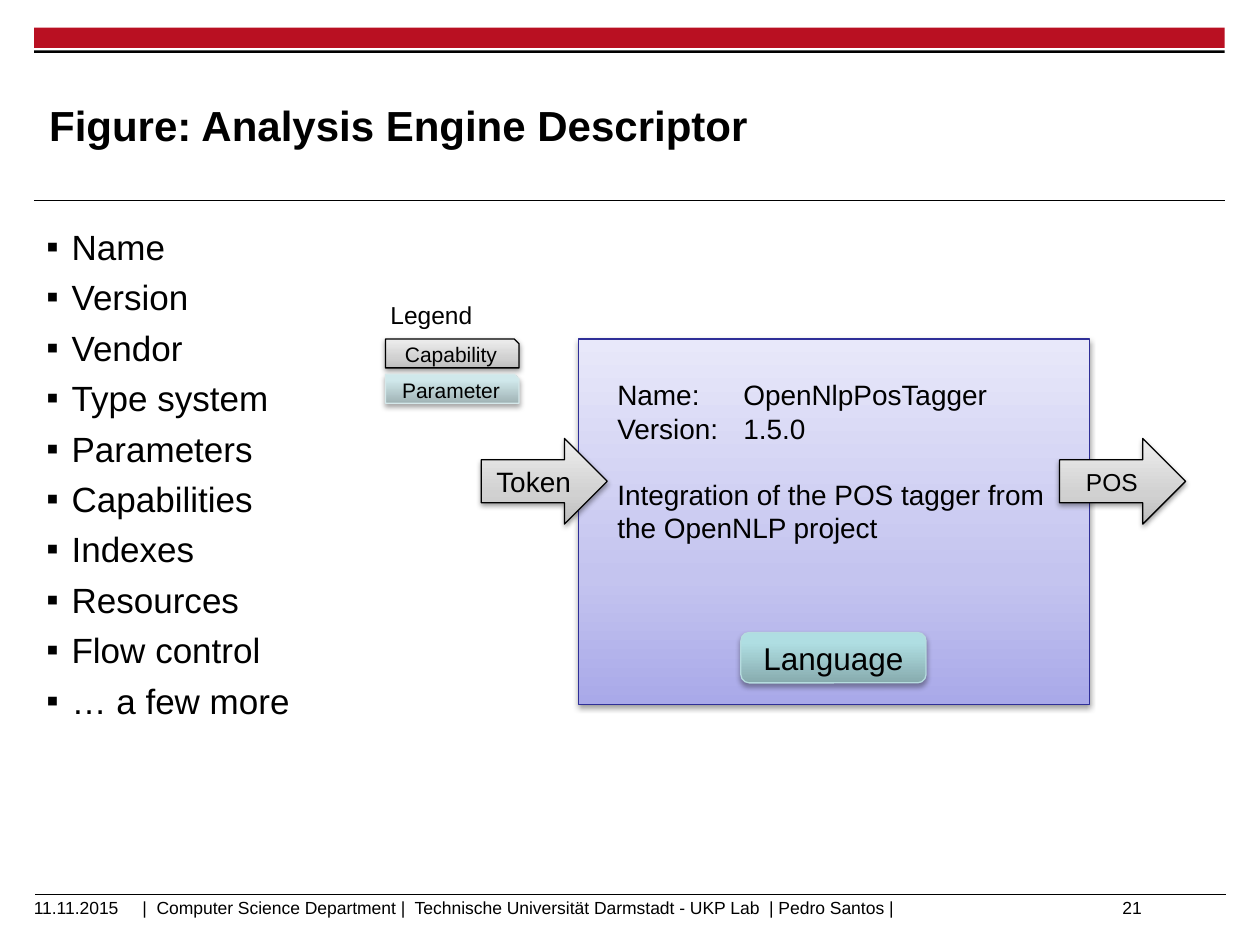
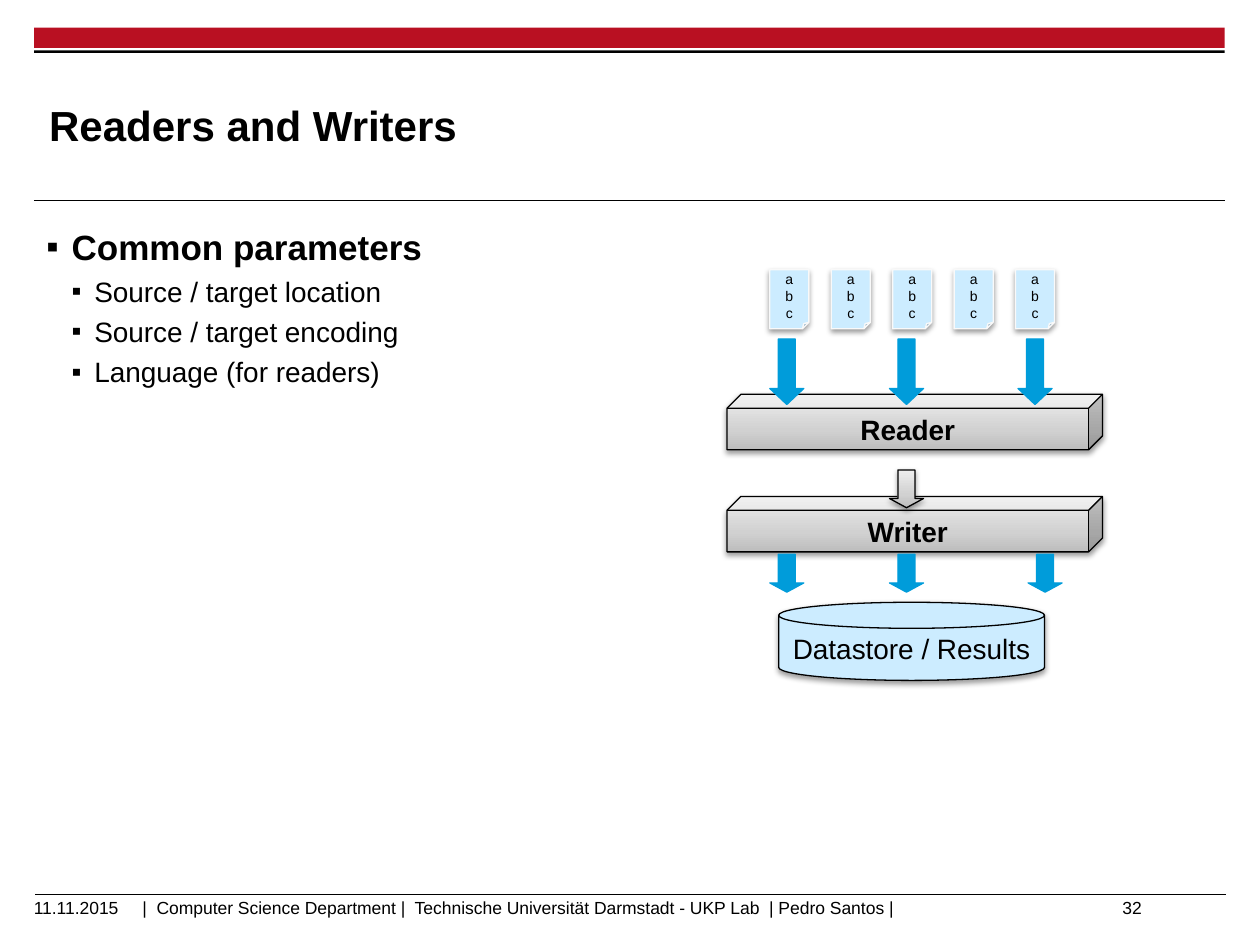
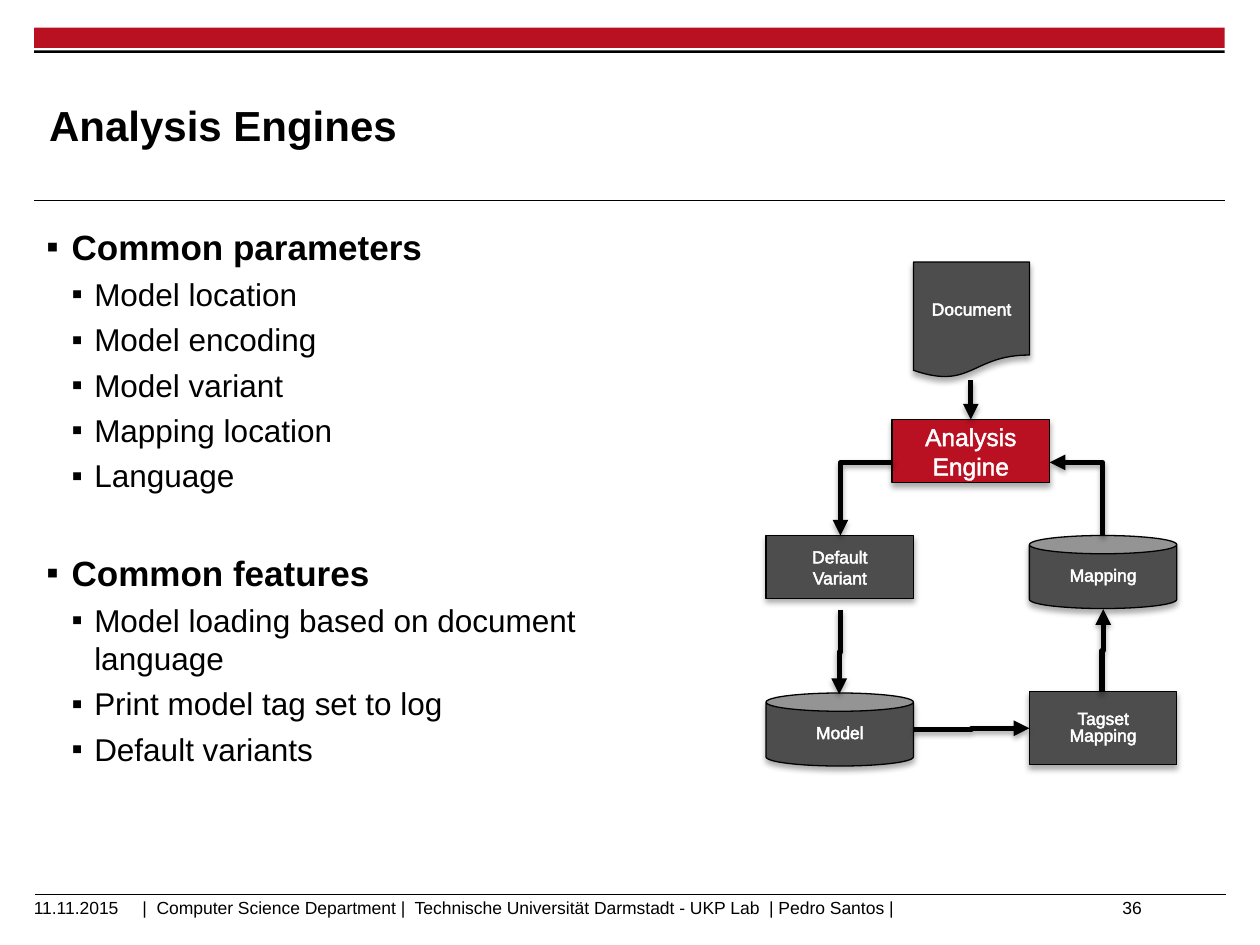
from lxml.etree import SubElement
from pptx import Presentation
from pptx.dml.color import RGBColor
from pptx.enum.shapes import MSO_CONNECTOR as Link, MSO_SHAPE as Kind
from pptx.enum.text import MSO_ANCHOR as Anchor, PP_ALIGN as Align
from pptx.oxml.ns import qn
from pptx.util import Inches, Pt

RGB = RGBColor.from_string

# Colours
BLACK, WHITE = RGB("000000"), RGB("FFFFFF")
RED, DARK = RGB("B91022"), RGB("4D4D4D")
BLUE, PALE = RGB("009CDA"), RGB("CCECFF")
NAVY, MIST = RGB("2F2F98"), RGB("F9F9F9")
TEAL_EDGE, FADED_EDGE = RGB("B6DCDF"), RGB("D5E8EA")

# Gradients from bottom to top: (percent, colour)
GREY = [(0, RGB("BDBDBD")), (35, RGB("D1D1D1")), (100, RGB("EEEEEE"))]
LILAC = [(0, RGB("A9A9E9")), (35, RGB("C4C4EF")), (100, RGB("E8E8FA"))]
TEAL = [(0, RGB("87ABAE")), (80, RGB("AFDEE2")), (100, RGB("AFE0E4"))]
FADED = [(0, RGB("A0B3B5")), (80, RGB("D0E8EB")), (100, RGB("D1EAEC"))]

# Shadows: opacity percent, blur and distance in points
SOFT, TINT, DEEP = (38, 3.1, 1.6), (35, 3.1, 1.8), (32, 3.5, 2.2)

# Shared wording
FONT = "Arial"
DATE = "11.11.2015"
FOOT = ("|  Computer Science Department |  Technische Universität Darmstadt"
        " - UKP Lab  | Pedro Santos |")

# Bullets: (level, text)
FIELDS = [(0, name) for name in (
    "Name", "Version", "Vendor", "Type system", "Parameters", "Capabilities",
    "Indexes", "Resources", "Flow control", "… a few more")]
READING = [
    (0, "Common parameters"),
    (1, "Source / target location"),
    (1, "Source / target encoding"),
    (1, "Language (for readers)"),
]
ENGINES = [
    (0, "Common parameters"),
    (1, "Model location"),
    (1, "Model encoding"),
    (1, "Model variant"),
    (1, "Mapping location"),
    (1, "Language"),
    (0, "Common features"),
    (1, "Model loading based on document language"),
    (1, "Print model tag set to log"),
    (1, "Default variants"),
]
INDENTS = [(0.2, 0.2), (0.38, 0.18)]  # left margin, hanging part
SECTION_GAP = 28

# Descriptor figure: kind, place, fill, line, shadow, text, size
PARTS = [
    (Kind.RIGHT_ARROW, (3.82, 3.48, 1, 0.68), GREY, BLACK, SOFT, "Token", 16),
    (Kind.RIGHT_ARROW, (8.41, 3.48, 1, 0.68), GREY, BLACK, SOFT, "POS", 14),
    (Kind.ROUNDED_RECTANGLE, (5.88, 5.02, 1.47, 0.4), TEAL, TEAL_EDGE, TINT,
     "Language", 18),
    (Kind.SNIP_1_RECTANGLE, (3.06, 2.69, 1.06, 0.23), GREY, BLACK, SOFT,
     "Capability", 12),
    (Kind.SNIP_1_RECTANGLE, (3.06, 2.97, 1.06, 0.23), FADED, FADED_EDGE, TINT,
     "Parameter", 12),
]
ABOUT = ("Name: \tOpenNlpPosTagger\nVersion: \t1.5.0\n"
         "Integration of the POS tagger from the OpenNLP project")

# Engine flow: kind, place, text, line spacing
NODES = [
    (Kind.FLOWCHART_DOCUMENT, (7.25, 2.08, 0.92, 0.92), "Document", 1),
    (Kind.RECTANGLE, (6.08, 4.25, 1.17, 0.5), "Default\nVariant", 1),
    (Kind.CAN, (6.08, 5.5, 1.17, 0.58), "Model", 0.8),
    (Kind.RECTANGLE, (8.17, 5.49, 1.17, 0.58), "Tagset\nMapping", 0.8),
    (Kind.CAN, (8.17, 4.25, 1.17, 0.58), "Mapping", 0.8),
]
# Bent arrows: preset, place before turning, rotation, flips
BENDS = [
    ("bentConnector2", (6.67, 3.67, 0.42, 0.58), 180, "V"),
    ("bentConnector3", (6.33, 5.17, 0.67, 0.01), 90, ""),
    ("bentConnector3", (7.25, 5.78, 0.92, 0.01), 0, "V"),
    ("bentConnector3", (8.42, 5.16, 0.66, 0.01), 90, "HV"),
    ("bentConnector2", (8.25, 3.75, 0.58, 0.42), 270, "V"),
]


def inches(at):
    return [Inches(n) for n in at]


def style(para, size, color=BLACK, bold=False, align=Align.LEFT):
    para.alignment = align
    for run in para.runs:
        font = run.font
        font.name, font.size, font.bold = FONT, Pt(size), bold
        font.color.rgb = color


def pad(frame, gap):
    frame.margin_left = frame.margin_right = Inches(gap)
    frame.margin_top = frame.margin_bottom = Inches(gap)


def tint(parent, color):
    solid = SubElement(parent, qn("a:solidFill"))
    return SubElement(solid, qn("a:srgbClr"), val=str(color))


def shade(item, look=None):
    """Replace the theme shadow; call after the line is set."""
    props = item._element.spPr
    for old in props.findall(qn("a:effectLst")):
        props.remove(old)
    effects = SubElement(props, qn("a:effectLst"))
    if look:
        alpha, blur, dist = look
        drop = SubElement(effects, qn("a:outerShdw"), blurRad=str(Pt(blur)),
                          dist=str(Pt(dist)), dir="5400000", rotWithShape="0")
        color = SubElement(drop, qn("a:srgbClr"), val=str(BLACK))
        SubElement(color, qn("a:alpha"), val=str(alpha * 1000))


def blend(shape, stops):
    shape.fill.gradient()
    grad = shape._element.spPr.find(qn("a:gradFill"))
    for child in list(grad):
        grad.remove(child)
    group = SubElement(grad, qn("a:gsLst"))
    for pos, color in stops:
        stop = SubElement(group, qn("a:gs"), pos=str(pos * 1000))
        SubElement(stop, qn("a:srgbClr"), val=str(color))
    SubElement(grad, qn("a:lin"), ang="16200000", scaled="0")


def box(slide, kind, at, fill, line=None, look=None, text="", size=10,
        color=BLACK, bold=False, align=Align.CENTER):
    shape = slide.shapes.add_shape(kind, *inches(at))
    shape.shadow.inherit = False
    if isinstance(fill, RGBColor):
        shape.fill.solid()
        shape.fill.fore_color.rgb = fill
    else:
        blend(shape, fill)
    if line is None:
        shape.line.fill.background()
    else:
        shape.line.color.rgb = line
        shape.line.width = Pt(0.75)
    shade(shape, look)
    if text:
        frame = shape.text_frame
        frame.text = text
        frame.vertical_anchor = Anchor.MIDDLE
        for para in frame.paragraphs:
            style(para, size, color, bold, align)
    return shape


def note(slide, at, text, size, align=Align.LEFT, anchor=Anchor.TOP):
    frame = slide.shapes.add_textbox(*inches(at)).text_frame
    frame.word_wrap = True
    frame.vertical_anchor = anchor
    frame.text = text
    style(frame.paragraphs[0], size, align=align)
    return frame


def rule(slide, left, top):
    line = slide.shapes.add_connector(
        Link.STRAIGHT, *inches((left, top, left + 9.45, top)))
    line.line.color.rgb = BLACK
    line.line.width = Pt(0.6)
    shade(line)


def arrow(line):
    line.line.color.rgb = BLACK
    line.line.width = Pt(3)
    SubElement(line.line._get_or_add_ln(), qn("a:tailEnd"), type="triangle")
    shade(line, TINT)


def bullets(slide, rows, sizes, strong):
    frame = slide.shapes.add_textbox(
        *inches((0.27, 1.74, 4.64, 5.24))).text_frame
    frame.word_wrap = True
    for i, (level, text) in enumerate(rows):
        para = frame.add_paragraph() if i else frame.paragraphs[0]
        para.text = text
        para.level = level
        size = sizes[level]
        if i:
            section = level == 0 and rows[i - 1][0] == 1
            para.space_before = Pt(size * 0.24 + section * SECTION_GAP)
        left, hang = INDENTS[level]
        props = para._p.get_or_add_pPr()
        props.set("marL", str(Inches(left)))
        props.set("indent", str(-Inches(hang)))
        SubElement(props, qn("a:buFont"), typeface=FONT)
        SubElement(props, qn("a:buChar"), char="▪")
        style(para, size, bold=strong and level == 0)


def start(deck, title, number):
    """Add a slide with the bands, rules, title and footer."""
    slide = deck.slides.add_slide(deck.slide_layouts[5])
    box(slide, Kind.RECTANGLE, (0.27, 0.22, 9.45, 0.16), RED)
    rule(slide, 0.27, 1.59)
    box(slide, Kind.RECTANGLE, (0.27, 0.4, 9.45, 0.02), BLACK)
    rule(slide, 0.28, 7.1)
    head = slide.shapes.title
    head.left, head.top, head.width, head.height = inches(
        (0.39, 0.53, 7.52, 0.92))
    frame = head.text_frame
    frame.text = title
    frame.vertical_anchor = Anchor.MIDDLE
    pad(frame, 0)
    style(frame.paragraphs[0], 24, bold=True)
    pad(note(slide, (1.13, 7.12, 7.54, 0.25), FOOT, 10), 0)
    note(slide, (0.17, 7, 1.17, 0.4), DATE, 10, anchor=Anchor.MIDDLE)
    note(slide, (6.83, 7, 2.33, 0.4), number, 10, Align.RIGHT, Anchor.MIDDLE)
    return slide


def descriptor(deck):
    slide = start(deck, "Figure: Analysis Engine Descriptor", "21")
    bullets(slide, FIELDS, (20, 16), False)
    panel = box(slide, Kind.RECTANGLE, (4.59, 2.69, 4.06, 2.9), LILAC, NAVY,
                SOFT, ABOUT, 16, align=Align.LEFT)
    frame = panel.text_frame
    frame.vertical_anchor = Anchor.TOP
    pad(frame, 0.31)
    frame.paragraphs[2].space_before = Pt(18.4)
    for part in PARTS:
        box(slide, *part)
    note(slide, (3, 2.33, 1.12, 0.34), "Legend", 14)


def readers(deck):
    slide = start(deck, "Readers and Writers", "32")
    bullets(slide, READING, (20, 16), True)

    def bar(top, text):
        cube = box(slide, Kind.CUBE, (5.77, top, 2.98, 0.44), GREY, BLACK,
                   SOFT, text, 16, bold=True)
        cube.text_frame.word_wrap = False

    def down(left, top, high, tip, fill=BLUE, line=BLUE, look=None):
        shape = box(slide, Kind.DOWN_ARROW, (left, top, 0.27, high), fill,
                    line, look)
        shape.adjustments[0] = 0.5
        shape.adjustments[1] = tip

    # Writer and its store
    bar(3.94, "Writer")
    for left in (6.11, 7.06, 8.16):
        down(left, 4.4, 0.3, 0.27)
    box(slide, Kind.FLOWCHART_MAGNETIC_DISK, (6.18, 4.78, 2.11, 0.62), PALE,
        BLACK, SOFT, "Datastore / Results", 16)
    down(7.06, 3.73, 0.3, 0.27, GREY, BLACK, SOFT)

    # Reader and its pages
    bar(3.13, "Reader")
    for left in (6.11, 7.06, 8.08):
        down(left, 2.69, 0.52, 0.47)
    first, last, count = 6.11, 8.06, 5
    for i in range(count):
        left = first + i * (last - first) / (count - 1)
        box(slide, Kind.FOLDED_CORNER, (left, 2.14, 0.31, 0.47), PALE, MIST,
            SOFT, "abc", 8)


def engines(deck):
    slide = start(deck, "Analysis Engines", "36")
    bullets(slide, ENGINES, (20, 18), True)

    def node(kind, at, text, space, fill=DARK, size=10):
        shape = box(slide, kind, at, fill, BLACK, DEEP, text, size, WHITE)
        for para in shape.text_frame.paragraphs:
            if space != 1:
                para.line_spacing = space
            for run in para.runs:
                props = run._r.get_or_add_rPr()
                edge = SubElement(props, qn("a:ln"), w=str(Pt(1.45)))
                tint(edge, WHITE)
                props.insert(0, edge)
        return shape

    for row in NODES:
        node(*row)
    engine = node(Kind.RECTANGLE, (7.08, 3.33, 1.25, 0.5), "Analysis Engine",
                  1, RED, 14)

    # Arrows
    mid = engine.left + engine.width // 2
    drop = slide.shapes.add_connector(Link.STRAIGHT, mid, Inches(3.02), mid,
                                      engine.top)
    drop.end_connect(engine, 0)
    arrow(drop)
    for preset, (left, top, wide, high), turn, flips in BENDS:
        bend = slide.shapes.add_connector(
            Link.ELBOW, *inches((left, top, left + wide, top + high)))
        props = bend._element.spPr
        props.find(qn("a:prstGeom")).set("prst", preset)
        frame = props.find(qn("a:xfrm"))
        frame.set("rot", str(turn * 60000))
        for axis in flips:
            frame.set("flip" + axis, "1")
        arrow(bend)


def main():
    deck = Presentation()
    deck.slide_width, deck.slide_height = Inches(10), Inches(7.5)
    descriptor(deck)
    readers(deck)
    engines(deck)
    deck.save("out.pptx")


if __name__ == "__main__":
    main()
